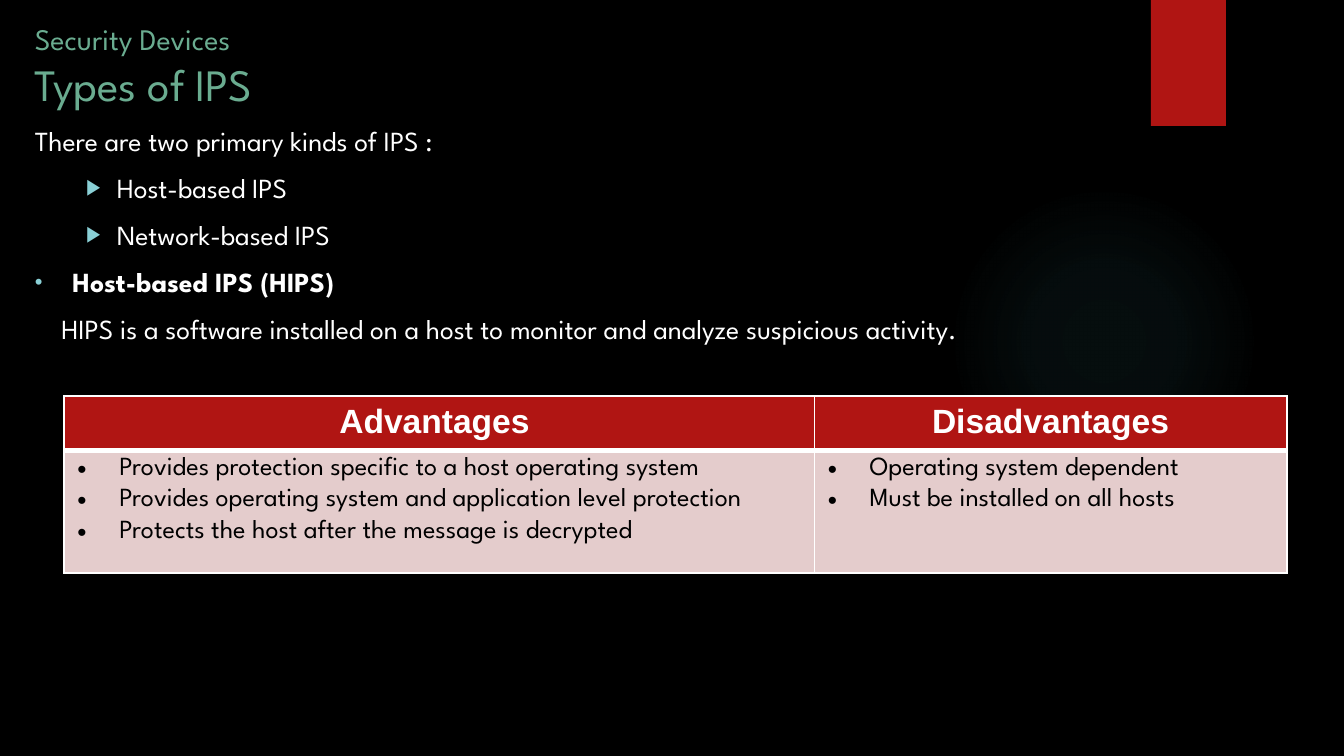
from lxml import etree
from pptx import Presentation, util as u
from pptx.dml.color import RGBColor
from pptx.enum import shapes, text
from pptx.oxml.ns import qn

COLORS = {"bg": "000000", "red": "B01513", "green": "6AAC90", "white": "FFFFFF",
          "black": "000000", "aqua": "8AD0D6", "glow": "50B9C1", "pink": "E4CCCC"}
FONT = "League Spartan"

TITLE = [("Security Devices", 16), ("Types of IPS", 24)]
BODY = [
    ("There are two primary kinds of IPS :", "plain"),
    ("Host-based IPS", "arrow"),
    ("Network-based IPS", "arrow"),
    ("Host-based IPS (HIPS)", "dot"),
    ("HIPS is a software installed on a host to monitor and analyze suspicious activity.", "indented"),
]
STYLES = {
    "plain": dict(left=0, hang=0, bullet=None, bold=False),
    "arrow": dict(left=1.55, hang=0.58, bullet="▶", bold=False),
    "dot": dict(left=0.71, hang=0.71, bullet="•", bold=True),
    "indented": dict(left=0.5, hang=0, bullet=None, bold=False),
}
TABLE = [
    ("Advantages ", 14.18, ["Provides protection specific to a host operating system",
                            "Provides operating system and application level protection",
                            "Protects the host after the message is decrypted"]),
    ("Disadvantages", 8.93, ["Operating system dependent",
                             "Must be installed on all hosts"]),
]
ROWS = [1.02, 1.96]
GLOW = [(0, 7), (36, 6), (69, 0)]


def rgb(name):
    return RGBColor.from_string(COLORS[name])


def sub(parent, tag, **attrs):
    return etree.SubElement(parent, qn(tag), {k: str(v) for k, v in attrs.items()})


def add_run(p, words, color, **fmt):
    r = p.add_run()
    r.text = words
    r.font.color.rgb = rgb(color)
    for key, value in fmt.items():
        setattr(r.font, key, value)


def indent(p, left, hang, bullet=None, color=None, size=100):
    pPr = p._p.get_or_add_pPr()
    pPr.set("marL", str(u.Cm(left)))
    pPr.set("indent", str(-u.Cm(hang)))
    if bullet:
        if color:
            sub(sub(pPr, "a:buClr"), "a:srgbClr", val=COLORS[color])
        sub(pPr, "a:buSzPct", val=size * 1000)
        sub(pPr, "a:buFont", typeface="Arial")
        sub(pPr, "a:buChar", char=bullet)


def paragraphs(tf, items):
    for i, item in enumerate(items):
        yield (tf.add_paragraph() if i else tf.paragraphs[0]), item


def add_shape(s, kind, *box):
    sp = s.shapes.add_shape(kind, *map(u.Cm, box))
    sp.shadow.inherit = False
    sp.line.fill.background()
    return sp


def add_text(s, *box):
    tf = s.shapes.add_textbox(*map(u.Cm, box)).text_frame
    tf.word_wrap = True
    return tf


def add_glow(s):
    sp = add_shape(s, shapes.MSO_SHAPE.OVAL, 17.93, 3.51, 5.87, 5.87)
    sp.fill.gradient()
    grad = sp._element.spPr.find(qn("a:gradFill"))
    for child in list(grad):
        grad.remove(child)
    stops = sub(grad, "a:gsLst")
    for pos, alpha in GLOW:
        clr = sub(sub(stops, "a:gs", pos=pos * 1000), "a:srgbClr", val=COLORS["glow"])
        sub(clr, "a:alpha", val=alpha * 1000)
    radial = sub(grad, "a:path", path="circle")
    sub(radial, "a:fillToRect", l=50000, t=50000, r=50000, b=50000)


def style_cell(cell, fill, borders):
    tcPr = cell._tc.get_or_add_tcPr()
    for side, width in zip("LRTB", borders):
        ln = sub(tcPr, f"a:ln{side}", w=u.Pt(width))
        sub(sub(ln, "a:solidFill"), "a:srgbClr", val=COLORS["white"])
    cell.fill.solid()
    cell.fill.fore_color.rgb = rgb(fill)


def add_table(s):
    width = sum(w for _, w, _ in TABLE)
    box = map(u.Cm, (1.21, 7.49, width, sum(ROWS)))
    table = s.shapes.add_table(len(ROWS), len(TABLE), *box).table
    for row, height in zip(table.rows, ROWS):
        row.height = u.Cm(height)
    for c, (heading, w, points) in enumerate(TABLE):
        table.columns[c].width = u.Cm(w)
        head, cell = table.cell(0, c), table.cell(1, c)
        style_cell(head, "red", (1, 1, 1, 3))
        style_cell(cell, "pink", (1, 1, 3, 1))
        p = head.text_frame.paragraphs[0]
        p.alignment = text.PP_ALIGN.CENTER
        add_run(p, heading, "white", name="Arial", size=u.Pt(18), bold=True)
        for p, point in paragraphs(cell.text_frame, points):
            p.space_before = p.space_after = u.Pt(2)
            indent(p, 0.79, 0.79, "•")
            add_run(p, point, "black", name=FONT, size=u.Pt(14), bold=False)


def main():
    prs = Presentation()
    prs.slide_width, prs.slide_height = u.Cm(25.4), u.Cm(14.29)
    s = prs.slides.add_slide(prs.slide_layouts[6])
    s.background.fill.solid()
    s.background.fill.fore_color.rgb = rgb("bg")

    add_glow(s)
    tab = add_shape(s, shapes.MSO_SHAPE.RECTANGLE, 21.75, 0, 1.42, 2.38)
    tab.fill.solid()
    tab.fill.fore_color.rgb = rgb("red")

    tf = add_text(s, 0.41, 0.18, 24.99, 2.11)
    tf.vertical_anchor = text.MSO_ANCHOR.MIDDLE
    p = tf.paragraphs[0]
    for i, (words, size) in enumerate(TITLE):
        if i:
            p.add_line_break()
        add_run(p, words, "green", name=FONT, size=u.Pt(size))

    tf = add_text(s, 0.41, 2.21, 24.77, 4.93)
    for p, (words, kind) in paragraphs(tf, BODY):
        style = STYLES[kind]
        p.space_before = u.Pt(7.5)
        indent(p, style["left"], style["hang"], style["bullet"], "aqua", 80)
        add_run(p, words, "white", name=FONT, size=u.Pt(14.8), bold=style["bold"])

    add_table(s)
    prs.save("out.pptx")


if __name__ == "__main__":
    main()
